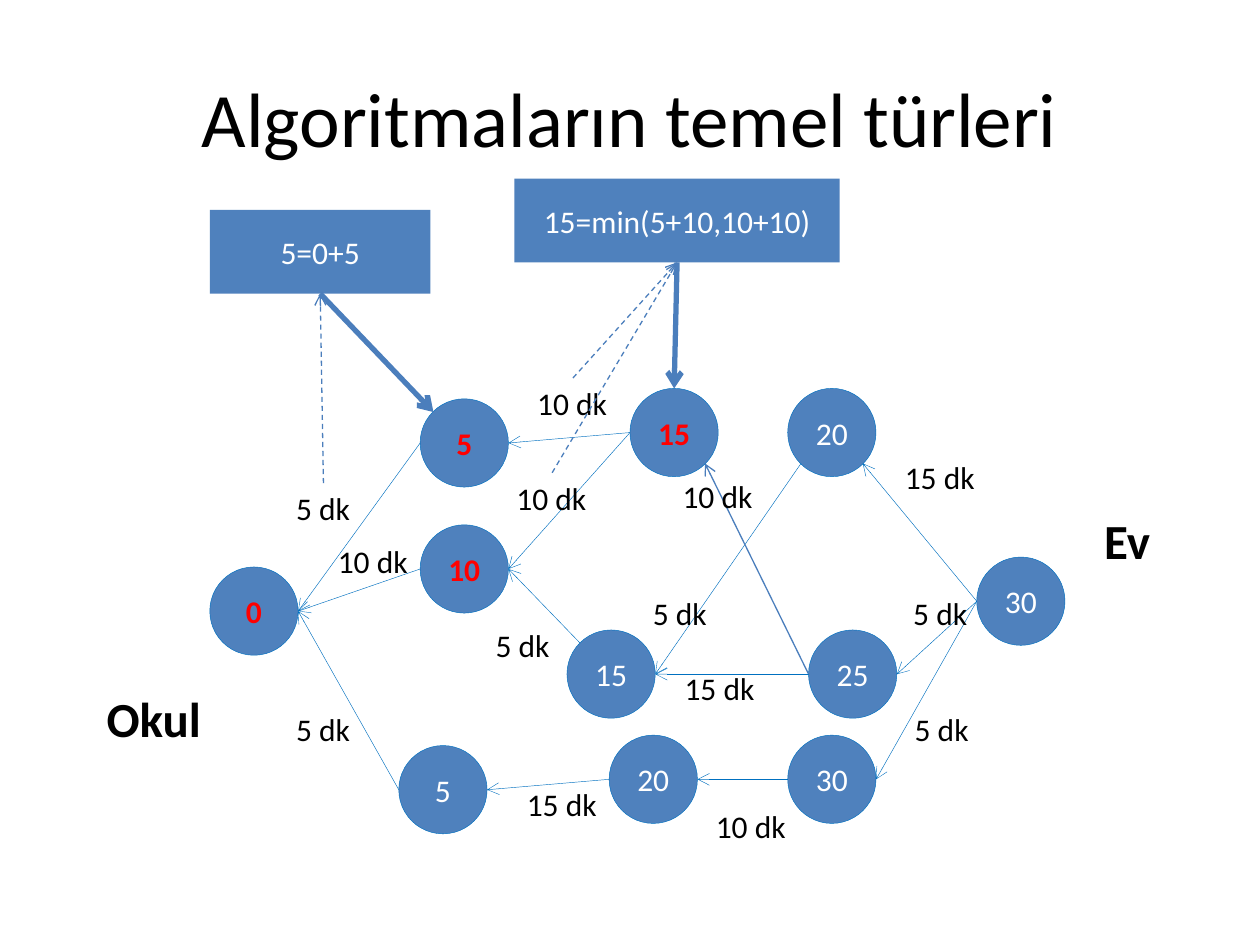
from lxml.etree import SubElement
from pptx import Presentation
from pptx.dml.color import RGBColor
from pptx.enum.dml import MSO_LINE_DASH_STYLE as DASH
from pptx.enum.shapes import MSO_CONNECTOR, MSO_SHAPE
from pptx.enum.text import MSO_ANCHOR, MSO_AUTO_SIZE, PP_ALIGN
from pptx.oxml.ns import qn
from pptx.util import Cm, Pt

COLORS = {"fill": "4F81BD", "edge": "0070C0", "arrow": "4B7EBC",
          "text": "000000", "light": "FFFFFF", "marked": "FF0000"}


def write(shape, text, size, color, bold=False, align=PP_ALIGN.CENTER):
    tf = shape.text_frame
    tf.text = text
    p = tf.paragraphs[0]
    p.alignment = align
    p.font.name = "Calibri"
    p.font.size = Pt(size)
    p.font.bold = bold
    p.font.color.rgb = RGBColor.from_string(COLORS[color])
    return tf


def add_arrow(start, end, color, width):
    """Straight line with an open arrowhead at its end."""
    line = s.shapes.add_connector(MSO_CONNECTOR.STRAIGHT,
                                  *(Cm(v) for v in (*start, *end)))
    line.line.color.rgb = RGBColor.from_string(COLORS[color])
    line.line.width = Pt(width)
    SubElement(line.line._get_or_add_ln(), qn("a:tailEnd"), type="arrow")
    SubElement(line._element.spPr, qn("a:effectLst"))
    return line


prs = Presentation()
prs.slide_width, prs.slide_height = Cm(25.4), Cm(19.05)
s = prs.slides.add_slide(prs.slide_layouts[5])

# Title
title = s.shapes.title
title.left, title.top, title.width, title.height = Cm(1.27), Cm(0.76), Cm(22.86), Cm(3.18)
write(title, "Algoritmaların temel türleri", 44, "text").vertical_anchor = MSO_ANCHOR.MIDDLE

# Graph nodes: left, top, minutes to school, marked
D = 1.78
nodes = {
    "home": (19.69, 11.23, "30", False),
    "top20": (15.88, 7.83, "20", False),
    "mid25": (16.3, 12.7, "25", False),
    "low30": (15.88, 14.82, "30", False),
    "top15": (12.7, 7.83, "15", True),
    "mid15": (11.43, 12.7, "15", False),
    "low20": (12.28, 14.82, "20", False),
    "top5": (8.47, 8.04, "5", True),
    "mid10": (8.47, 10.58, "10", True),
    "low5": (8.04, 15.03, "5", False),
    "school": (4.23, 11.43, "0", True),
}
for x, y, text, marked in nodes.values():
    sp = s.shapes.add_shape(MSO_SHAPE.OVAL, Cm(x), Cm(y), Cm(D), Cm(D))
    sp.shadow.inherit = False
    sp.fill.solid()
    sp.fill.fore_color.rgb = RGBColor.from_string(COLORS["fill"])
    sp.line.color.rgb = RGBColor.from_string(COLORS["edge"])
    sp.line.width = Pt(0.25)
    tf = write(sp, text, 18, "marked" if marked else "light", marked)
    tf.vertical_anchor = MSO_ANCHOR.MIDDLE

# Points on a node's rim, as fractions of its diameter
SITES = {"L": (0, 0.5), "R": (1, 0.5), "T": (0.5, 0),
         "TL": (0.15, 0.15), "BL": (0.15, 0.85), "BR": (0.85, 0.85)}
rim = {(name, site): (x + fx * D, y + fy * D)
       for name, (x, y, *_) in nodes.items()
       for site, (fx, fy) in SITES.items()}

# Roads, each pointing towards the school
roads = [
    ("top5", "L", "school", "R"), ("mid10", "L", "school", "R"),
    ("low5", "L", "school", "R"), ("top15", "L", "top5", "R"),
    ("top15", "L", "mid10", "R"), ("mid15", "TL", "mid10", "R"),
    ("low20", "L", "low5", "R"), ("mid25", "L", "mid15", "R"),
    ("low30", "L", "low20", "R"), ("home", "L", "low30", "R"),
    ("home", "L", "mid25", "R"), ("top20", "BL", "mid15", "R"),
    ("home", "L", "top20", "BR"),
]
for origin, out_site, target, in_site in roads:
    add_arrow(rim[origin, out_site], rim[target, in_site], "edge", 0.25)
add_arrow(rim["mid25", "L"], rim["top15", "BR"], "arrow", 0.75)

# Place names and travel times: text, left, top
labels = [
    ("Okul", 1.9, 13.76), ("Ev", 22.01, 10.16),
    ("5 dk", 5.72, 9.74), ("10 dk", 6.56, 10.8), ("5 dk", 5.72, 14.18),
    ("10 dk", 10.58, 7.62), ("5 dk", 9.74, 12.49), ("15 dk", 10.37, 15.7),
    ("5 dk", 12.91, 11.85), ("10 dk", 13.51, 9.5), ("15 dk", 13.55, 13.36),
    ("10 dk", 14.18, 16.14), ("15 dk", 17.99, 9.1), ("5 dk", 18.16, 11.85),
    ("5 dk", 18.19, 14.18), ("10 dk", 10.16, 9.53),
]
WIDTHS = {"Okul": 2.44, "Ev": 1.45, "5 dk": 1.6, "10 dk": 1.93, "15 dk": 1.93}
for text, x, y in labels:
    place = text in ("Okul", "Ev")
    box = s.shapes.add_textbox(Cm(x), Cm(y), Cm(WIDTHS[text]), Cm(1.45 if place else 1.02))
    tf = write(box, text, 28 if place else 18, "text", place, PP_ALIGN.LEFT)
    tf.word_wrap = False
    tf.auto_size = MSO_AUTO_SIZE.SHAPE_TO_FIT_TEXT

# Formulas: box, node that gets the result, starts of the dashed input arrows
formulas = [
    ("5=0+5", 4.23, 4.23, 4.45, ("top5", "TL"), [(6.52, 9.74)]),
    ("15=min(5+10,10+10)", 10.37, 3.6, 6.56, ("top15", "T"),
     [(11.55, 7.62), (11.13, 9.53)]),
]
H = 1.69
for text, x, y, w, result, inputs in formulas:
    sp = s.shapes.add_shape(MSO_SHAPE.RECTANGLE, Cm(x), Cm(y), Cm(w), Cm(H))
    sp.shadow.inherit = False
    sp.fill.solid()
    sp.fill.fore_color.rgb = RGBColor.from_string(COLORS["fill"])
    sp.line.fill.background()
    write(sp, text, 18, "light").vertical_anchor = MSO_ANCHOR.MIDDLE
    bottom = (x + w / 2, y + H)
    add_arrow(bottom, rim[result], "arrow", 3).begin_connect(sp, 2)
    for start in inputs:
        line = add_arrow(start, bottom, "arrow", 0.75)
        line.line.dash_style = DASH.DASH
        line.end_connect(sp, 2)

prs.save("out.pptx")
